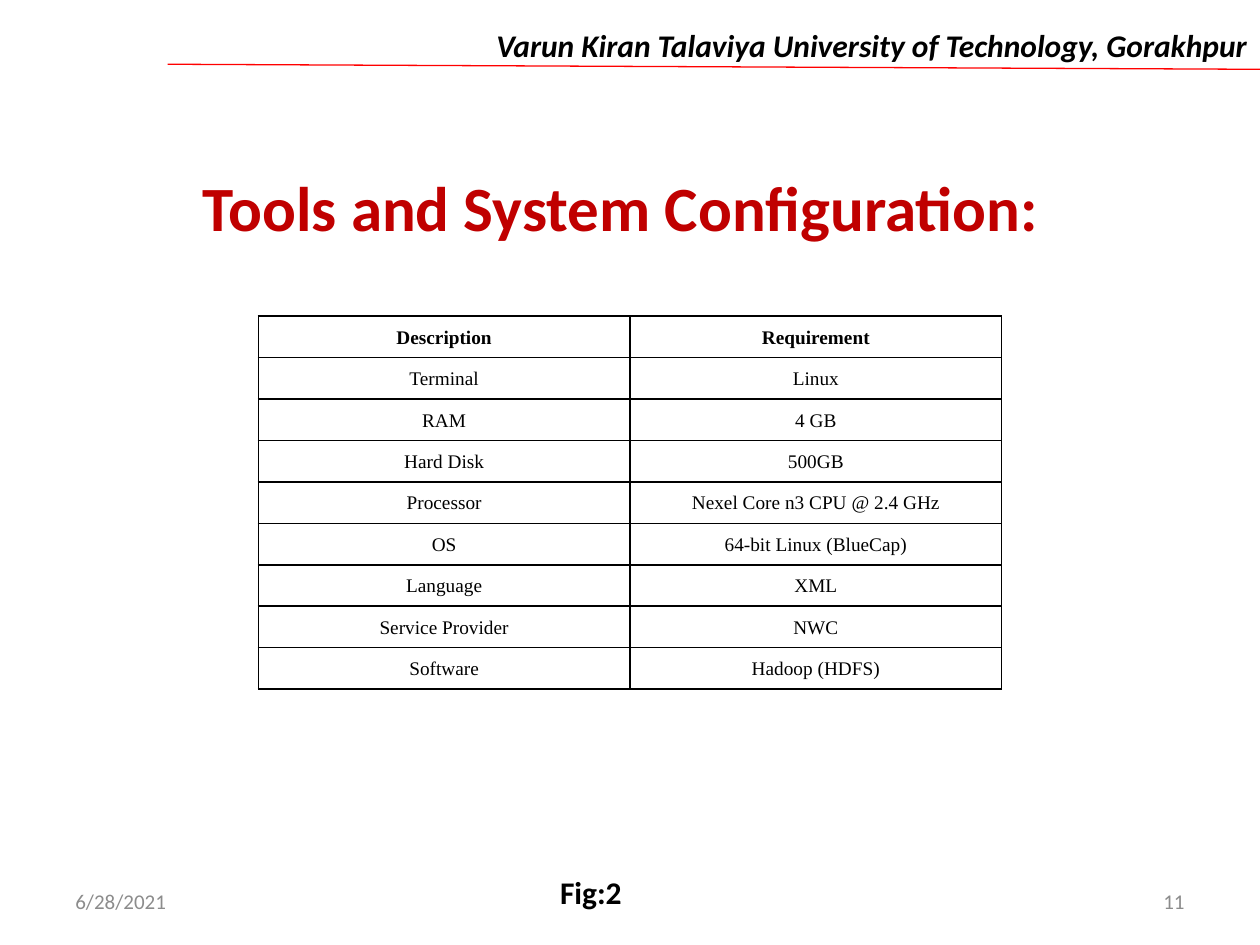
"""Build the tools and system configuration slide."""
from lxml import etree
from pptx import Presentation, util as u
from pptx.dml.color import RGBColor
from pptx.enum import shapes, text
from pptx.oxml.ns import qn

COLS, ROWS = 100, 75
WIDTH, HEIGHT = u.Inches(10), u.Inches(7.5)
COLORS = {"title": "C00000", "rule": "FF0000", "ink": "000000", "muted": "8C8C8C"}
ALIGN = {"l": text.PP_ALIGN.LEFT, "c": text.PP_ALIGN.CENTER, "r": text.PP_ALIGN.RIGHT}
REQUIREMENTS = [
    ("Description", "Requirement"),
    ("Terminal", "Linux"),
    ("RAM", "4 GB"),
    ("Hard Disk", "500GB"),
    ("Processor", "Nexel Core n3 CPU @ 2.4 GHz"),
    ("OS", "64-bit Linux (BlueCap)"),
    ("Language", "XML"),
    ("Service Provider", "NWC"),
    ("Software", "Hadoop (HDFS)"),
]


def col(n):
    """Return the length of n grid columns."""
    return round(WIDTH * n / COLS)


def row(n):
    """Return the length of n grid rows."""
    return round(HEIGHT * n / ROWS)


def write(tf, words, size=18, color="ink", font="Calibri", bold=False, italic=False,
          align="c", spacing=None, after=None):
    """Write one formatted paragraph into a text frame."""
    p = tf.paragraphs[0]
    p.alignment = ALIGN[align]
    if spacing:
        p.line_spacing = spacing
    if after:
        p.space_after = u.Pt(after)
    r = p.add_run()
    r.text = words
    r.font.name, r.font.size = font, u.Pt(size)
    r.font.bold, r.font.italic = bold, italic
    r.font.color.rgb = RGBColor.from_string(COLORS[color])


def add_text(s, words, x, y, w, h, middle=False, **fmt):
    """Add a wrapped text box placed on the grid."""
    tf = s.shapes.add_textbox(col(x), row(y), col(w), row(h)).text_frame
    tf.word_wrap = True
    tf.vertical_anchor = text.MSO_ANCHOR.MIDDLE if middle else text.MSO_ANCHOR.TOP
    write(tf, words, **fmt)


def add_rule(s, x1, y1, x2, y2):
    """Add the thin header rule."""
    sp = s.shapes.add_connector(shapes.MSO_CONNECTOR.STRAIGHT,
                                col(x1), row(y1), col(x2), row(y2))
    sp.line.color.rgb = RGBColor.from_string(COLORS["rule"])
    sp.line.width = u.Pt(0.75)
    etree.SubElement(sp._element.spPr, qn("a:effectLst"))


def set_borders(cell, width=1):
    """Draw all four borders of a table cell."""
    tc_pr = cell._tc.get_or_add_tcPr()
    for i, side in enumerate(("lnL", "lnR", "lnT", "lnB")):
        ln = etree.Element(qn(f"a:{side}"), w=str(u.Pt(width)))
        fill = etree.SubElement(ln, qn("a:solidFill"))
        etree.SubElement(fill, qn("a:srgbClr"), val=COLORS["ink"])
        tc_pr.insert(i, ln)


def add_grid_table(s, data, x, y, w, h):
    """Add a plain bordered table with a bold first row."""
    table = s.shapes.add_table(len(data), len(data[0]),
                               col(x), row(y), col(w), row(h)).table
    table.first_row = table.horz_banding = False
    for i, values in enumerate(data):
        for j, value in enumerate(values):
            cell = table.cell(i, j)
            cell.fill.background()
            cell.margin_left = cell.margin_right = u.Inches(0.07)
            cell.margin_top = cell.margin_bottom = 0
            write(cell.text_frame, value, size=11, font="Times New Roman",
                  bold=i == 0, spacing=1.5, after=6)
            set_borders(cell)


def main():
    """Build and save the slide."""
    prs = Presentation()
    prs.slide_width, prs.slide_height = WIDTH, HEIGHT
    s = prs.slides.add_slide(prs.slide_layouts[6])
    add_text(s, "Tools and System Configuration:", 1.6, 12.5, 95.3, 7.8,
             middle=True, size=36, color="title", bold=True)
    for words, x, align in (("6/28/2021", 5, "l"), ("11", 71.7, "r")):
        add_text(s, words, x, 69.5, 23.3, 4, middle=True, size=12,
                 color="muted", align=align)
    add_rule(s, 13.3, 5.1, 100, 5.5)
    add_text(s, "Varun Kiran Talaviya University of Technology, Gorakhpur",
             21.9, 1.6, 78.1, 4, bold=True, italic=True, align="r")
    add_text(s, "Fig:2", 22.7, 68.8, 48.4, 4, bold=True)
    add_grid_table(s, REQUIREMENTS, 20.5, 25.1, 59, 29.6)
    prs.save("out.pptx")


main()
